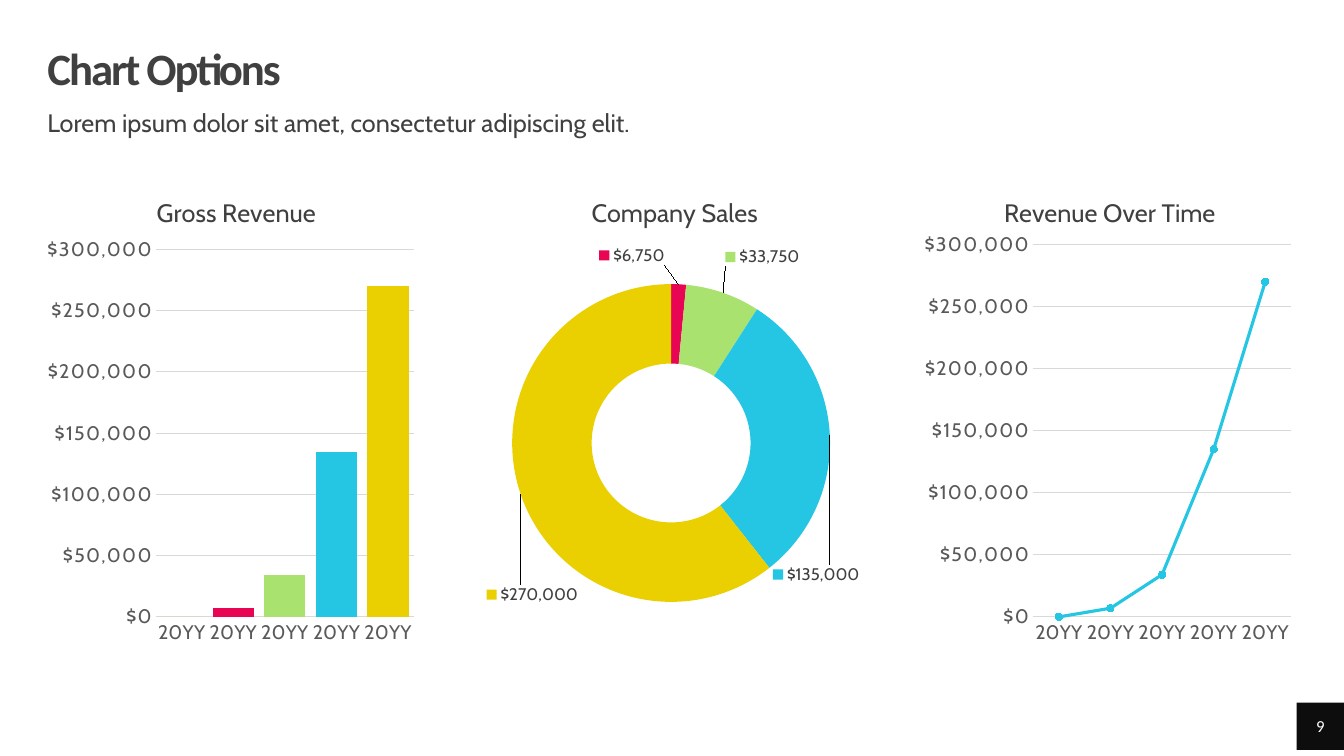
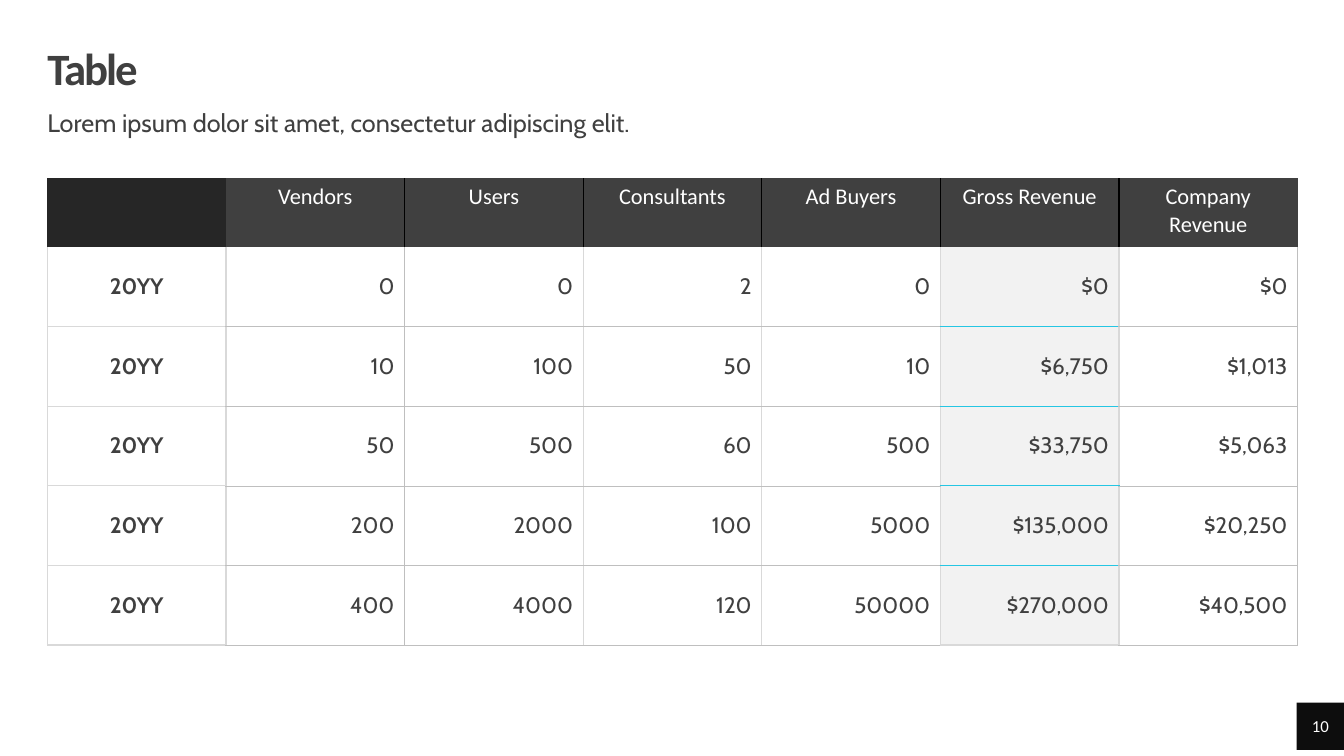
"""Build a chart slide and a table slide that share one title style and page badge."""
from lxml import etree
from pptx import Presentation
from pptx.chart.data import CategoryChartData
from pptx.dml.color import RGBColor
from pptx.enum import chart as charts, shapes, text
from pptx.oxml.ns import qn
from pptx.util import Inches, Pt

DARK = RGBColor(0x40, 0x40, 0x40)
CORNER = RGBColor(0x26, 0x26, 0x26)
BADGE = RGBColor(0x0D, 0x0D, 0x0D)
BLACK = RGBColor(0, 0, 0)
WHITE = RGBColor(0xFF, 0xFF, 0xFF)
AXIS_TEXT = RGBColor(0x59, 0x59, 0x59)
PALE = RGBColor(0xF2, 0xF2, 0xF2)
RULE = RGBColor(0xD9, 0xD9, 0xD9)
HAIRLINE = RGBColor(0xBF, 0xBF, 0xBF)
GREEN = RGBColor(0xA9, 0xE2, 0x6F)
RED = RGBColor(0xE8, 0x05, 0x54)
CYAN = RGBColor(0x25, 0xC6, 0xE3)
YELLOW = RGBColor(0xEA, 0xD0, 0x00)

HEADING_FONT, BODY_FONT = "Calibri", "Cabin"
CENTER, RIGHT = text.PP_ALIGN.CENTER, text.PP_ALIGN.RIGHT
MIDDLE, TOP = text.MSO_ANCHOR.MIDDLE, text.MSO_ANCHOR.TOP
MARGIN = 0.47
CURRENCY = "[$$-409]#,##0"

SUBTITLE = "Lorem ipsum dolor sit amet, consectetur adipiscing elit."
YEARS = ["20YY"] * 5
REVENUE = [0, 7000, 34000, 135000, 270000]
SALES = [0, 6750, 33750, 135000, 270000]
POINT_COLORS = [GREEN, RED, GREEN, CYAN, YELLOW]
CHARTS = [
    {"title": "Gross Revenue", "type": charts.XL_CHART_TYPE.COLUMN_CLUSTERED,
     "categories": YEARS, "values": REVENUE,
     "title_at": (0.28, 0.05), "plot_at": (0.29, 0.17, 0.69, 0.75)},
    {"title": "Company Sales", "type": charts.XL_CHART_TYPE.DOUGHNUT,
     "categories": ["1", "2", "3", "4", "5"], "values": SALES,
     "title_at": (0.27, 0.05), "plot_at": (0.07, 0.24, 0.85, 0.65)},
    {"title": "Revenue Over Time", "type": charts.XL_CHART_TYPE.LINE_MARKERS_STACKED,
     "categories": YEARS, "values": REVENUE,
     "title_at": (0.2, 0.05), "plot_at": (0.29, 0.16, 0.69, 0.76)},
]
LABEL_OFFSETS = {1: (-0.12, -0.14), 2: (0.14, -0.15), 3: (0.07, 0.28), 4: (-0.07, 0.23)}

HEADERS = ["", "Vendors", "Users", "Consultants", "Ad Buyers", "Gross Revenue", "Company Revenue"]
ROWS = [
    ["20YY", "0", "0", "2", "0", "$0", "$0"],
    ["20YY", "10", "100", "50", "10", "$6,750", "$1,013"],
    ["20YY", "50", "500", "60", "500", "$33,750", "$5,063"],
    ["20YY", "200", "2000", "100", "5000", "$135,000", "$20,250"],
    ["20YY", "400", "4000", "120", "50000", "$270,000", "$40,500"],
]
HIGHLIGHT = HEADERS.index("Gross Revenue")
SOLID, THIN = (RULE, 1), (HAIRLINE, 0.25)
COLUMN_EDGES = [SOLID, SOLID, THIN, SOLID, SOLID, SOLID, SOLID, THIN]


def style_font(font, size, color, name=BODY_FONT, bold=False):
    font.size, font.name, font.bold = Pt(size), name, bold
    font.color.rgb = color


def write(frame, words, size=16, color=DARK, font=BODY_FONT, bold=False,
          align=None, spacing=None, line_spacing=None, before=None):
    paragraph = frame.paragraphs[0]
    paragraph.alignment = align
    paragraph.line_spacing = line_spacing
    paragraph.space_before = before
    run = paragraph.add_run()
    run.text = words
    style_font(run.font, size, color, font, bold)
    if spacing is not None:
        run.font._element.set("spc", str(spacing))
    return paragraph


def place(shape, left, top, width, height):
    shape.left, shape.top = Inches(left), Inches(top)
    shape.width, shape.height = Inches(width), Inches(height)


def clear_insets(frame, anchor):
    frame.margin_left = frame.margin_top = frame.margin_right = frame.margin_bottom = 0
    frame.word_wrap = True
    frame.auto_size = text.MSO_AUTO_SIZE.NONE
    frame.vertical_anchor = anchor


def add_page(presentation, title, number):
    slide = presentation.slides.add_slide(presentation.slide_layouts[1])
    heading, body = slide.shapes.title, slide.placeholders[1]
    place(heading, MARGIN, 0.47, 12.39, 0.47)
    clear_insets(heading.text_frame, MIDDLE)
    write(heading.text_frame, title, size=32, font=HEADING_FONT, bold=True,
          align=text.PP_ALIGN.LEFT, spacing=-150, line_spacing=0.9)

    place(body, MARGIN, 1.1, 12.4, 0.39)
    clear_insets(body.text_frame, TOP)
    paragraph = write(body.text_frame, SUBTITLE, size=18, line_spacing=0.9, before=Pt(10))
    properties = paragraph._p.get_or_add_pPr()
    properties.set("marL", "0")
    properties.set("indent", "0")
    etree.SubElement(properties, qn("a:buNone"))

    badge = slide.shapes.add_shape(shapes.MSO_SHAPE.RECTANGLE, 0, 0, 0, 0)
    place(badge, 12.86, 6.97, 0.47, 0.47)
    badge.shadow.inherit = False
    badge.fill.solid()
    badge.fill.fore_color.rgb = BADGE
    badge.line.fill.background()
    clear_insets(badge.text_frame, MIDDLE)
    write(badge.text_frame, str(number), size=12, color=WHITE, font=HEADING_FONT, align=CENTER)
    return slide


def set_layout(element, index, position, modes=(), target=None):
    for old in element.findall(qn("c:layout")):
        element.remove(old)
    layout = etree.Element(qn("c:layout"))
    manual = etree.SubElement(layout, qn("c:manualLayout"))
    settings = [("layoutTarget", target)] if target else []
    settings += [(mode, "edge") for mode in modes]
    settings += list(zip("xywh", position))
    for name, value in settings:
        etree.SubElement(manual, qn("c:" + name)).set("val", str(value))
    element.insert(index, layout)


def fill_with(formatted, color):
    formatted.fill.solid()
    formatted.fill.fore_color.rgb = color


def style_axes(chart):
    category, value = chart.category_axis, chart.value_axis
    for axis in (category, value):
        axis.major_tick_mark = axis.minor_tick_mark = charts.XL_TICK_MARK.NONE
        style_font(axis.tick_labels.font, 14, AXIS_TEXT)
    value.tick_labels.font._element.set("spc", "80")
    value.tick_labels.number_format = CURRENCY
    value.tick_labels.number_format_is_linked = False
    value.minimum_scale, value.maximum_scale, value.major_unit = 0, 300000, 50000
    value.format.line.fill.background()
    for line in (category.format.line, value.major_gridlines.format.line):
        line.color.rgb = RULE
        line.width = Pt(0.75)


def label_slices(series):
    series.data_labels.show_value = False
    for index, offset in LABEL_OFFSETS.items():
        style_font(series.points[index].data_label.font, 12, DARK)
    for label, offset in zip(series._element.iter(qn("c:dLbl")), LABEL_OFFSETS.values()):
        set_layout(label, 1, offset)
        number_format = etree.Element(qn("c:numFmt"), formatCode=CURRENCY, sourceLinked="0")
        label.insert(2, number_format)
        label.find(qn("c:showLegendKey")).set("val", "1")


def style_line(series):
    series.smooth = False
    series.format.line.color.rgb = CYAN
    series.format.line.width = Pt(2.25)
    series.marker.style = charts.XL_MARKER_STYLE.CIRCLE
    series.marker.size = 5
    fill_with(series.marker.format, CYAN)
    series.marker.format.line.color.rgb = CYAN


def add_chart(slide, left, content):
    data = CategoryChartData(number_format=CURRENCY)
    data.categories = content["categories"]
    data.add_series("Series 1", content["values"])
    chart = slide.shapes.add_chart(content["type"], Inches(left), Inches(1.65),
                                   Inches(3.71), Inches(4.86), data).chart
    style_font(chart.font, 10, BLACK)
    chart.has_legend = False
    write(chart.chart_title.text_frame, content["title"], size=18)
    chart.chart_title.include_in_layout = False
    set_layout(chart.chart_title._element, 1, content["title_at"], ("xMode", "yMode"))
    plot_area = chart._chartSpace.find(".//" + qn("c:plotArea"))
    set_layout(plot_area, 0, content["plot_at"], ("xMode", "yMode"), "inner")

    plot = chart.plots[0]
    series = plot.series[0]
    is_doughnut = content["type"] == charts.XL_CHART_TYPE.DOUGHNUT
    plot.vary_by_categories = is_doughnut
    if not is_doughnut:
        style_axes(chart)
    if content["type"] == charts.XL_CHART_TYPE.LINE_MARKERS_STACKED:
        style_line(series)
        return
    for index, color in enumerate(POINT_COLORS):
        fill_with(series.points[index].format, color)
    if is_doughnut:
        label_slices(series)
    else:
        fill_with(series.format, GREEN)
        plot.gap_width = 25


def set_borders(cell, **borders):
    properties = cell._tc.get_or_add_tcPr()
    for index, side in enumerate("LRTB"):
        border = borders.get(side)
        line = etree.Element(qn("a:ln" + side))
        if border:
            color, width = border
            line.set("w", str(Pt(width)))
            fill = etree.SubElement(line, qn("a:solidFill"))
            etree.SubElement(fill, qn("a:srgbClr")).set("val", str(color))
        else:
            etree.SubElement(line, qn("a:noFill"))
        properties.insert(index, line)


def row_edge(row, column):
    if row == 0:
        return None
    if column == HIGHLIGHT:
        return SOLID if row == len(ROWS) else (CYAN, 1)
    return THIN if column else SOLID


def add_header_cell(cell, column, label):
    fill_with(cell, DARK if column else CORNER)
    if label:
        write(cell.text_frame, label, color=WHITE, font=HEADING_FONT, align=CENTER)
    divider = (BLACK, 1)
    set_borders(cell, L=divider if column > 1 else None,
                R=divider if 0 < column < len(HEADERS) - 1 else None)


def add_data_cell(cell, row, column, value):
    fill_with(cell, PALE if column == HIGHLIGHT else WHITE)
    cell.vertical_anchor = MIDDLE
    write(cell.text_frame, value, bold=column == 0, align=RIGHT if column else CENTER)
    set_borders(cell, L=COLUMN_EDGES[column], R=COLUMN_EDGES[column + 1],
                T=row_edge(row - 1, column), B=row_edge(row, column))


def add_table(slide):
    table = slide.shapes.add_table(len(ROWS) + 1, len(HEADERS), Inches(MARGIN), Inches(1.77),
                                   Inches(12.4), Inches(4.65)).table
    table.first_row = table.horz_banding = False
    for column in table.columns:
        column.width = Inches(12.4 / len(HEADERS))
    for index, row in enumerate(table.rows):
        row.height = Inches(0.79 if index else 0.68)
    for column, label in enumerate(HEADERS):
        add_header_cell(table.cell(0, column), column, label)
    for row, values in enumerate(ROWS, 1):
        for column, value in enumerate(values):
            add_data_cell(table.cell(row, column), row, column, value)


def main():
    presentation = Presentation()
    presentation.slide_width, presentation.slide_height = Inches(13.33), Inches(7.5)
    chart_slide = add_page(presentation, "Chart Options", 9)
    for index, content in enumerate(CHARTS):
        add_chart(chart_slide, MARGIN + index * 4.35, content)
    add_table(add_page(presentation, "Table", 10))
    presentation.save("out.pptx")


if __name__ == "__main__":
    main()
